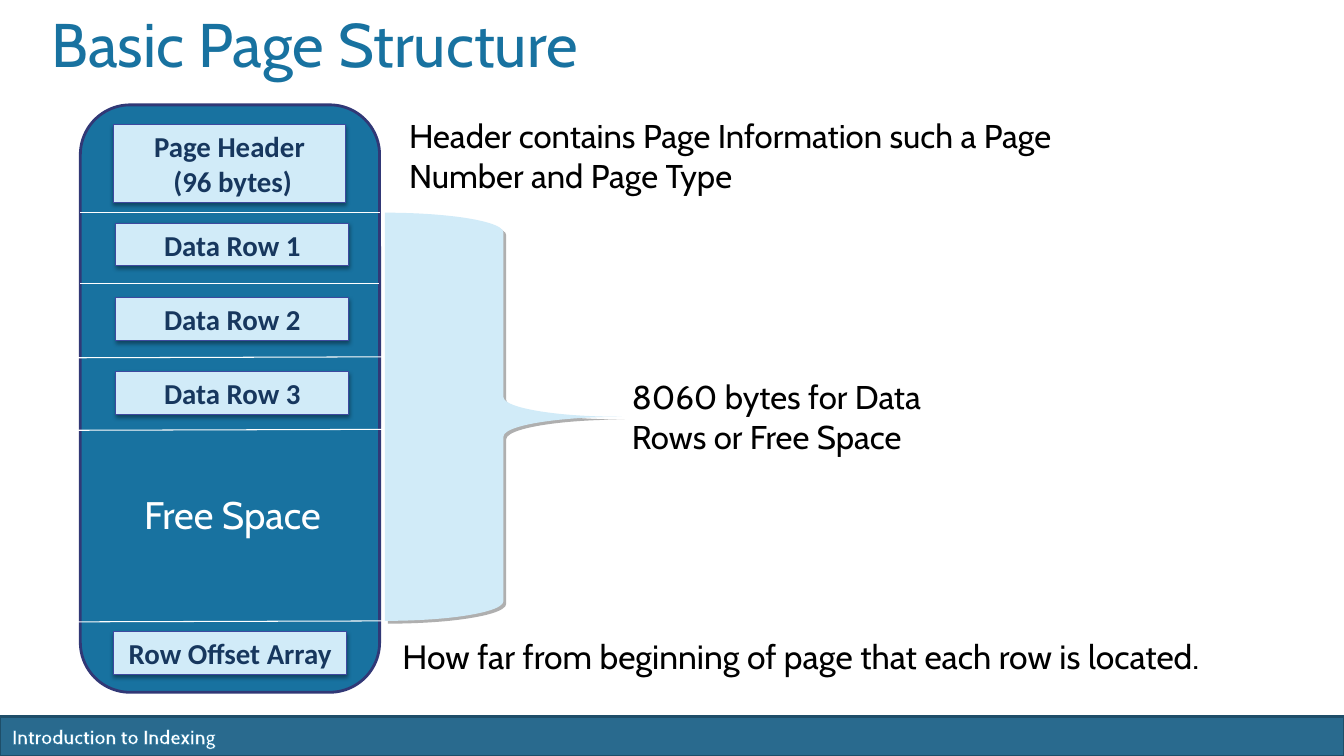
from lxml.etree import SubElement
from pptx import Presentation
from pptx.dml.color import RGBColor
from pptx.enum.shapes import MSO_CONNECTOR, MSO_SHAPE
from pptx.enum.text import MSO_ANCHOR, MSO_AUTO_SIZE, PP_ALIGN
from pptx.oxml.ns import qn
from pptx.util import Pt

WHITE = RGBColor(0xFF, 0xFF, 0xFF)
BLACK = RGBColor(0x00, 0x00, 0x00)
TEAL = RGBColor(0x18, 0x72, 0xA0)
NAVY = RGBColor(0x31, 0x38, 0x76)
PALE_BLUE = RGBColor(0xD1, 0xEB, 0xF8)
INDIGO = RGBColor(0x3E, 0x49, 0x9F)
DARK_BLUE = RGBColor(0x17, 0x37, 0x5E)
FOOTER_FILL = RGBColor(0x29, 0x6A, 0x8E)
FOOTER_EDGE = RGBColor(0x1E, 0x4E, 0x69)
SHADOW_GREY = RGBColor(0xAF, 0xAF, 0xAF)


class PageDiagram:
    body_font = "Cabin"
    block_font = "Calibri"

    def __init__(self, slide):
        self.slide = slide

    def set_text(self, frame, text, size, color, font=body_font, bold=False,
                 align=PP_ALIGN.LEFT):
        frame.word_wrap = True
        frame.auto_size = MSO_AUTO_SIZE.NONE
        frame.text = text
        for paragraph in frame.paragraphs:
            paragraph.alignment = align
            paragraph.font.name = font
            paragraph.font.size = Pt(size)
            paragraph.font.bold = bold
            paragraph.font.color.rgb = color

    def title(self, text, left, top, width, height):
        title = self.slide.shapes.title
        title.left, title.top = Pt(left), Pt(top)
        title.width, title.height = Pt(width), Pt(height)
        self.set_text(title.text_frame, text, 44, TEAL)
        title.text_frame.vertical_anchor = MSO_ANCHOR.TOP
        title.text_frame.paragraphs[0].line_spacing = Pt(35)

    def panel(self, kind, left, top, width, height, fill, edge=None, weight=2):
        panel = self.slide.shapes.add_shape(
            kind, Pt(left), Pt(top), Pt(width), Pt(height))
        panel.shadow.inherit = False
        panel.fill.solid()
        panel.fill.fore_color.rgb = fill
        if edge is None:
            panel.line.fill.background()
        else:
            panel.line.color.rgb = edge
            panel.line.width = Pt(weight)
        return panel

    def cast_shadow(self, panel, color, opacity, blur, distance, angle):
        effects = panel._element.spPr.find(qn("a:effectLst"))
        shadow = SubElement(effects, qn("a:outerShdw"), {
            "blurRad": str(Pt(blur)), "dist": str(Pt(distance)),
            "dir": str(angle * 60000), "algn": "ctr", "rotWithShape": "0"})
        tint = SubElement(shadow, qn("a:srgbClr"), val=str(color))
        SubElement(tint, qn("a:alpha"), val=str(opacity * 1000))

    def block(self, text, left, top, height=30.3):
        block = self.panel(MSO_SHAPE.RECTANGLE, left, top, 166.3, height,
                           PALE_BLUE, INDIGO, 0.75)
        self.cast_shadow(block, BLACK, 38, 3.1, 1.6, 90)
        frame = block.text_frame
        frame.margin_left = frame.margin_right = Pt(5)
        frame.margin_top = frame.margin_bottom = Pt(2.9)
        frame.vertical_anchor = MSO_ANCHOR.MIDDLE
        self.set_text(frame, text, 20.6, DARK_BLUE, self.block_font, True,
                      PP_ALIGN.CENTER)

    def divider(self, right, top, left, drop):
        divider = self.slide.shapes.add_connector(
            MSO_CONNECTOR.STRAIGHT, Pt(right), Pt(top), Pt(left), Pt(top + drop))
        divider.line.color.rgb = WHITE
        divider.line.width = Pt(0.75)
        SubElement(divider._element.spPr, qn("a:effectLst"))

    def note(self, text, left, top, width, height, size=23.5, color=BLACK,
             **style):
        note = self.slide.shapes.add_textbox(
            Pt(left), Pt(top), Pt(width), Pt(height))
        self.set_text(note.text_frame, text, size, color, **style)
        return note

    def footer(self, text):
        self.panel(MSO_SHAPE.RECTANGLE, 0, 511.9, 960, 28.5,
                   FOOTER_FILL, FOOTER_EDGE)
        caption = self.note(text, 1.4, 514.1, 436.3, 24.5, 14, WHITE, bold=True)
        run = caption.text_frame.paragraphs[0].runs[0]
        outline = SubElement(run._r.get_or_add_rPr(), qn("a:ln"), w=str(Pt(0.8)))
        SubElement(SubElement(outline, qn("a:solidFill")),
                   qn("a:srgbClr"), val=str(TEAL))


def main():
    deck = Presentation()
    deck.slide_width, deck.slide_height = Pt(960), Pt(540)
    diagram = PageDiagram(deck.slides.add_slide(deck.slide_layouts[5]))

    diagram.footer("Introduction to Indexing")
    diagram.title("Basic Page Structure", 29.5, 18.7, 864, 90)

    diagram.panel(MSO_SHAPE.ROUNDED_RECTANGLE, 57.4, 74.9, 213.8, 419.6,
                  TEAL, NAVY)
    for right, top, left, drop in (
            (271.4, 151.9, 56.9, 0), (270.7, 202.3, 56.9, 0),
            (273.6, 254.9, 36.7, 0.7), (275, 306.7, 37.4, 0.7),
            (285.1, 443.5, 47.5, 0.7)):
        diagram.divider(right, top, left, drop)

    diagram.block("Page Header\n (96 bytes)", 80.8, 89.2, 55.4)
    for index in range(3):
        diagram.block(f"Data Row {index + 1}", 82.8, 159.7 + 53 * index)
    diagram.block("Row Offset Array", 81.2, 451.2)
    diagram.note("Free Space", 75.6, 347, 180.7, 40.3, 27.4, WHITE,
                 align=PP_ALIGN.CENTER)

    diagram.note("Header contains Page Information such a Page Number and Page Type",
                 285.1, 79.2, 481, 64.1)
    brace = diagram.panel(MSO_SHAPE.RIGHT_BRACE, 275, 151.9, 169.2, 291.6,
                          PALE_BLUE)
    diagram.cast_shadow(brace, SHADOW_GREY, 100, 0, 2.8, 45)
    diagram.note("8060 bytes for Data Rows or Free Space", 444.2, 265.7, 246.2, 64.1)
    diagram.note(" How far from beginning of page that each row is located.",
                 275, 450.7, 699.1, 36, 24)

    deck.save("out.pptx")


if __name__ == "__main__":
    main()
